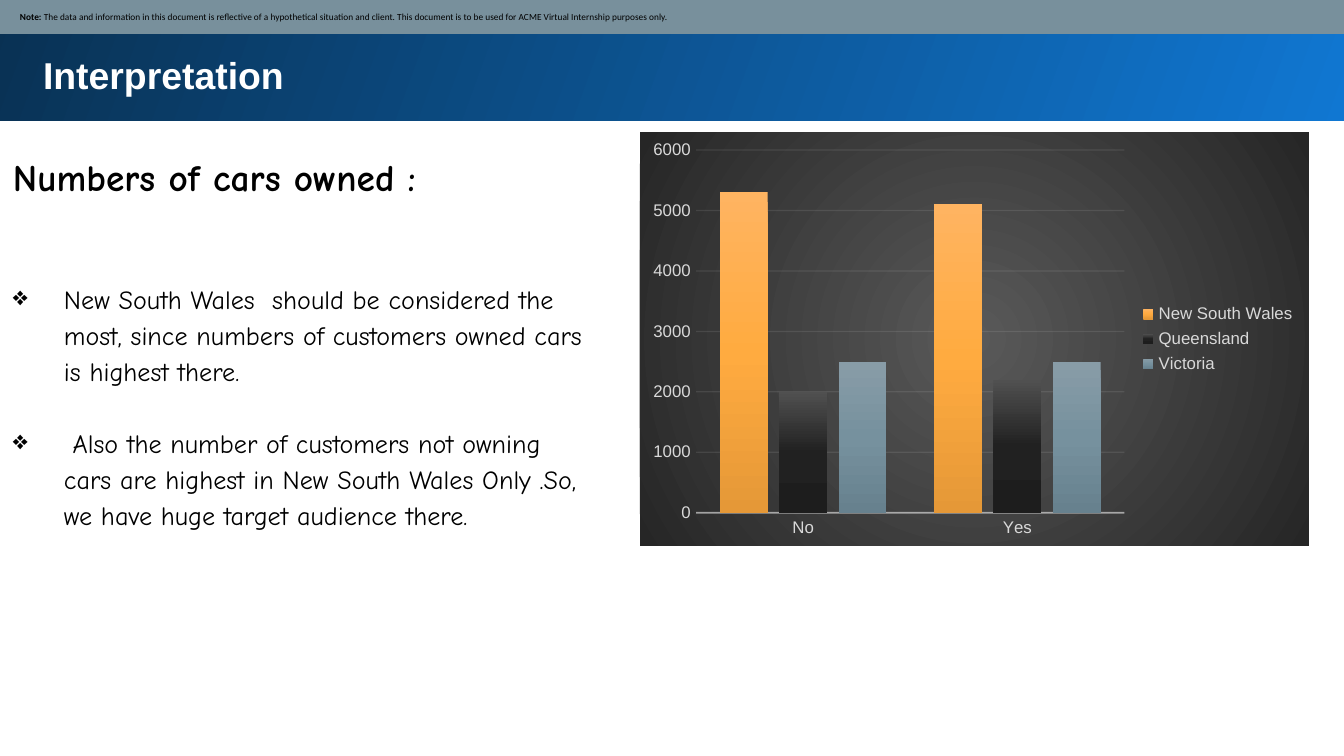
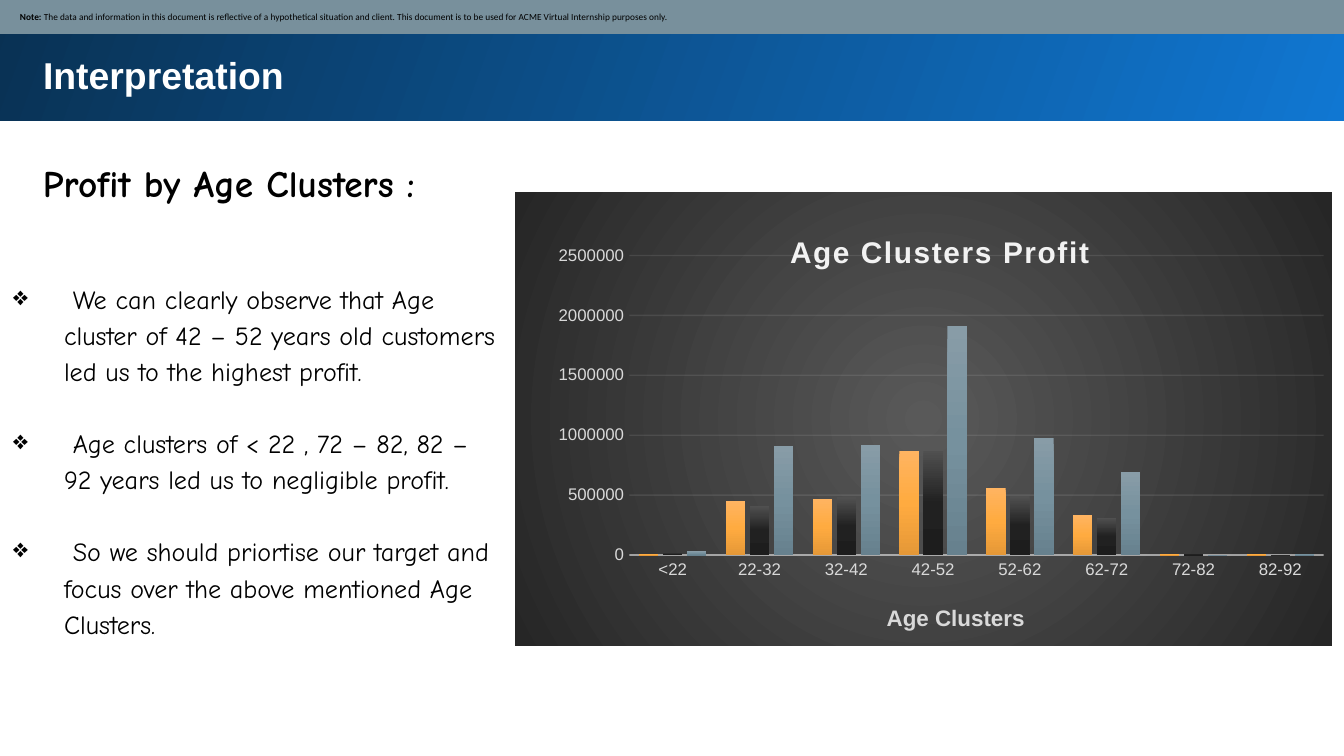
import pptx
import pptx.util
import pptx.oxml
import pptx.oxml.ns
import pptx.dml.color
import pptx.chart.data
import pptx.enum.chart
import pptx.enum.shapes
import pptx.enum.text

qn = pptx.oxml.ns.qn
Pt = pptx.util.Pt
PX = 914400 / 134.4  # EMU in one pixel

COLORS = {
    "black": "000000", "white": "FFFFFF", "note": "78909C",
    "light": "F2F2F2", "label": "D9D9D9",
}
HEADER_STOPS = [(0, "1077D2"), (100, "093153")]
PANEL_STOPS = [(0, "595959"), (100, "262626")]
SERIES_STOPS = [
    [(0, "FFB461"), (50, "FFAB40"), (100, "E59837")],
    [(0, "505050"), (50, "212121"), (100, "1D1D1D")],
    [(0, "889CA7"), (50, "76919E"), (100, "67818E")],
]
HEAD_FONT, BODY_FONT, NOTE_FONT = "Arial", "Comic Neue", "Calibri"
NOTE = [("Note: ", True),
        ("The data and information in this document is reflective of a hypothetical situation "
         "and client. This document is to be used for ACME Virtual Internship purposes only.",
         False)]


def px(n):
    return pptx.util.Emu(round(n * PX))


def rgb(name):
    return pptx.dml.color.RGBColor.from_string(COLORS[name])


def xml(text):
    """Parse one element that uses the a: and c: prefixes."""
    names = pptx.oxml.ns.nsdecls("a", "c")
    return pptx.oxml.parse_xml(f"<root {names}>{text}</root>")[0]


# Fills and lines

def gradient(stops, angle=None):
    """Linear gradient at an angle, or a circle from the centre without one."""
    gs = "".join(f'<a:gs pos="{pos * 1000}"><a:srgbClr val="{c}"/></a:gs>' for pos, c in stops)
    if angle is None:
        way = ('<a:path path="circle"><a:fillToRect l="50000" t="50000" '
               'r="50000" b="50000"/></a:path>')
    else:
        way = f'<a:lin ang="{angle * 60000}" scaled="0"/>'
    return xml(f"<a:gradFill><a:gsLst>{gs}</a:gsLst>{way}</a:gradFill>")


def set_gradient(fill, parent, stops, angle):
    fill.solid()
    old = next(parent.iter(qn("a:solidFill")))
    old.getparent().replace(old, gradient(stops, angle))


def set_line(line, parent, color, width, opacity):
    line.color.rgb = rgb(color)
    line.width = Pt(width)
    for clr in parent.iter(qn("a:srgbClr")):
        clr.append(xml(f'<a:alpha val="{opacity * 1000}"/>'))


# Text

def write(tf, paragraphs, font=BODY_FONT, size=14, color="black", bold=False,
          spacing=None, gap=0, bullet=None, indent=0, tracking=None):
    """Each paragraph is a string or a list of (text, bold) runs."""
    for i, runs in enumerate(paragraphs):
        p = tf.add_paragraph() if i else tf.paragraphs[0]
        p.alignment = pptx.enum.text.PP_ALIGN.LEFT
        if spacing:
            p.line_spacing = spacing
        if i and gap:
            p.space_before = Pt(gap)
        if bullet:
            pPr = p._p.get_or_add_pPr()
            pPr.set("marL", str(px(indent)))
            pPr.set("indent", str(-px(indent)))
            pPr.append(xml(f'<a:buChar char="{bullet}"/>'))
        for text, strong in [(runs, bold)] if isinstance(runs, str) else runs:
            r = p.add_run()
            r.text = text
            r.font.name, r.font.size, r.font.bold = font, Pt(size), strong
            r.font.color.rgb = rgb(color)
            if tracking:
                r._r.get_or_add_rPr().set("spc", str(tracking))


def frame(sp, inset, anchor="TOP"):
    tf = sp.text_frame
    tf.word_wrap = True
    tf.auto_size = pptx.enum.text.MSO_AUTO_SIZE.NONE
    tf.vertical_anchor = getattr(pptx.enum.text.MSO_ANCHOR, anchor)
    tf.margin_left = tf.margin_right = tf.margin_top = tf.margin_bottom = px(inset)
    return tf


def add_text(s, box, paragraphs, **fmt):
    sp = s.shapes.add_textbox(*map(px, box))
    write(frame(sp, 13), paragraphs, spacing=1.15, **fmt)


def add_bar(s, box):
    sp = s.shapes.add_shape(pptx.enum.shapes.MSO_SHAPE.RECTANGLE, *map(px, box))
    sp.shadow.inherit = False
    sp.line.fill.background()
    return sp


# Shared slide parts

def add_slide(prs, heading, heading_at, bullets, bullets_box):
    s = prs.slides.add_slide(prs.slide_layouts[5])
    band = add_bar(s, (-3, -3, 1351, 124))
    set_gradient(band.fill, band._element.spPr, HEADER_STOPS, 200)

    title = s.shapes.title
    s.shapes._spTree.append(title._element)  # in front of the band
    title.left, title.top, title.width, title.height = map(px, (30, 39, 1259, 112))
    write(frame(title, 13), ["Interpretation"], font=HEAD_FONT, size=20,
          color="white", bold=True)

    add_text(s, (*heading_at, 1259, 75), [heading], size=20, bold=True)
    add_text(s, bullets_box, bullets, bullet="\u2756", indent=51, gap=19.3)

    note = add_bar(s, (-1, -1, 1348, 35))
    note.fill.solid()
    note.fill.fore_color.rgb = rgb("note")
    tf = frame(note, 7, "MIDDLE")
    tf.margin_left = px(21)
    write(tf, [NOTE], font=NOTE_FONT, size=5)
    return s


# Charts

def place(element, inner=False, **layout):
    """Give a chart part a manual layout in fractions of the chart."""
    for old in element.findall(qn("c:layout")):
        element.remove(old)
    target = '<c:layoutTarget val="inner"/>' if inner else ""
    modes = '<c:xMode val="edge"/><c:yMode val="edge"/>'
    sizes = "".join(f'<c:{key} val="{val}"/>' for key, val in layout.items())
    element.insert(0 if inner else 1, xml(
        f"<c:layout><c:manualLayout>{target}{modes}{sizes}</c:manualLayout></c:layout>"))


def style_axis(axis):
    axis.major_tick_mark = axis.minor_tick_mark = pptx.enum.chart.XL_TICK_MARK.NONE
    font = axis.tick_labels.font
    font.name, font.size = HEAD_FONT, Pt(9)
    font.color.rgb = rgb("label")


def add_columns(s, box, categories, series, top, step):
    data = pptx.chart.data.CategoryChartData()
    data.categories = categories
    for name, values in series:
        data.add_series(name, values)
    chart = s.shapes.add_chart(pptx.enum.chart.XL_CHART_TYPE.COLUMN_CLUSTERED,
                               *map(px, box), data).chart
    chart.has_title = chart.has_legend = False
    chart.font.name, chart.font.size = HEAD_FONT, Pt(10)
    panel = xml("<c:spPr><a:ln><a:noFill/></a:ln></c:spPr>")
    panel.insert(0, gradient(PANEL_STOPS))
    chart._chartSpace.find(qn("c:chart")).addnext(panel)

    plot = chart.plots[0]
    plot.gap_width, plot.overlap, plot.vary_by_categories = 100, -24, False
    for ser, stops in zip(plot.series, SERIES_STOPS):
        ser.invert_if_negative = False
        set_gradient(ser.format.fill, ser._element, stops, 90)

    cat, val = chart.category_axis, chart.value_axis
    style_axis(cat)
    style_axis(val)
    line = cat.format.line
    set_line(line, cat._element.find(qn("c:spPr")), "light", 1, 54)
    val.format.line.fill.background()
    val.has_major_gridlines = True
    set_line(val.major_gridlines.format.line,
             val._element.find(qn("c:majorGridlines")), "light", 0.75, 10)
    val.minimum_scale, val.maximum_scale, val.major_unit = 0, top, step
    val.tick_labels.number_format = "General"
    val.tick_labels.number_format_is_linked = False
    return chart


def add_legend(chart):
    chart.has_legend = True
    legend = chart.legend
    legend.position = pptx.enum.chart.XL_LEGEND_POSITION.RIGHT
    legend.include_in_layout = False
    legend.font.name, legend.font.size = HEAD_FONT, Pt(9)
    legend.font.color.rgb = rgb("label")


def add_chart_titles(chart, title, axis_title):
    chart.has_title = True
    write(chart.chart_title.text_frame, [title], font=HEAD_FONT, size=16,
          color="light", bold=True, tracking=100)
    place(chart.chart_title._element, x=0.33, y=0.08)
    axis = chart.category_axis
    axis.has_title = True
    write(axis.axis_title.text_frame, [axis_title], font=HEAD_FONT, size=12,
          color="label", bold=True)
    place(axis.axis_title._element, x=0.45, y=0.9)


def main():
    prs = pptx.Presentation()
    prs.slide_width, prs.slide_height = px(1344), px(756)

    # Cars owned
    s = add_slide(prs, "Numbers of cars owned :", (0, 134), [
        "New South Wales  should be considered the most, since numbers of customers "
        "owned cars is highest there.",
        " Also the number of customers not owning cars are highest in New South Wales "
        "Only .So, we have huge target audience there.",
    ], (0, 266, 607, 316))
    chart = add_columns(s, (640, 132, 669, 414), ["No", "Yes"], [
        ("New South Wales", (5300, 5100)),
        ("Queensland", (2000, 2200)),
        ("Victoria", (2500, 2500)),
    ], 6000, 1000)
    add_legend(chart)

    # Profit by age
    s = add_slide(prs, "Profit by Age Clusters :", (30, 140), [
        " We can clearly observe that Age cluster of 42 \u2013 52 years old customers "
        "led us to the highest profit.",
        " Age clusters of < 22 , 72 \u2013 82, 82 \u2013 92 years led us to negligible profit.",
        " So we should priortise our target and focus over the above mentioned Age Clusters.",
    ], (0, 266, 515, 425))
    ages = ["<22"] + [f"{a}-{a + 10}" for a in range(22, 83, 10)]
    chart = add_columns(s, (515, 192, 817, 454), ages, [
        ("Series 1", (10000, 450000, 470000, 870000, 560000, 330000, 10000, 10000)),
        ("Series 2", (20000, 410000, 480000, 870000, 490000, 310000, 10000, 0)),
        ("Series 3", (30000, 910000, 920000, 1910000, 980000, 690000, 0, 10000)),
    ], 2500000, 500000)
    add_chart_titles(chart, "Age Clusters Profit", "Age Clusters")
    place(chart._chartSpace.find(".//" + qn("c:plotArea")), inner=True,
          x=0.14, y=0.14, w=0.85, h=0.66)

    prs.save("out.pptx")


main()
